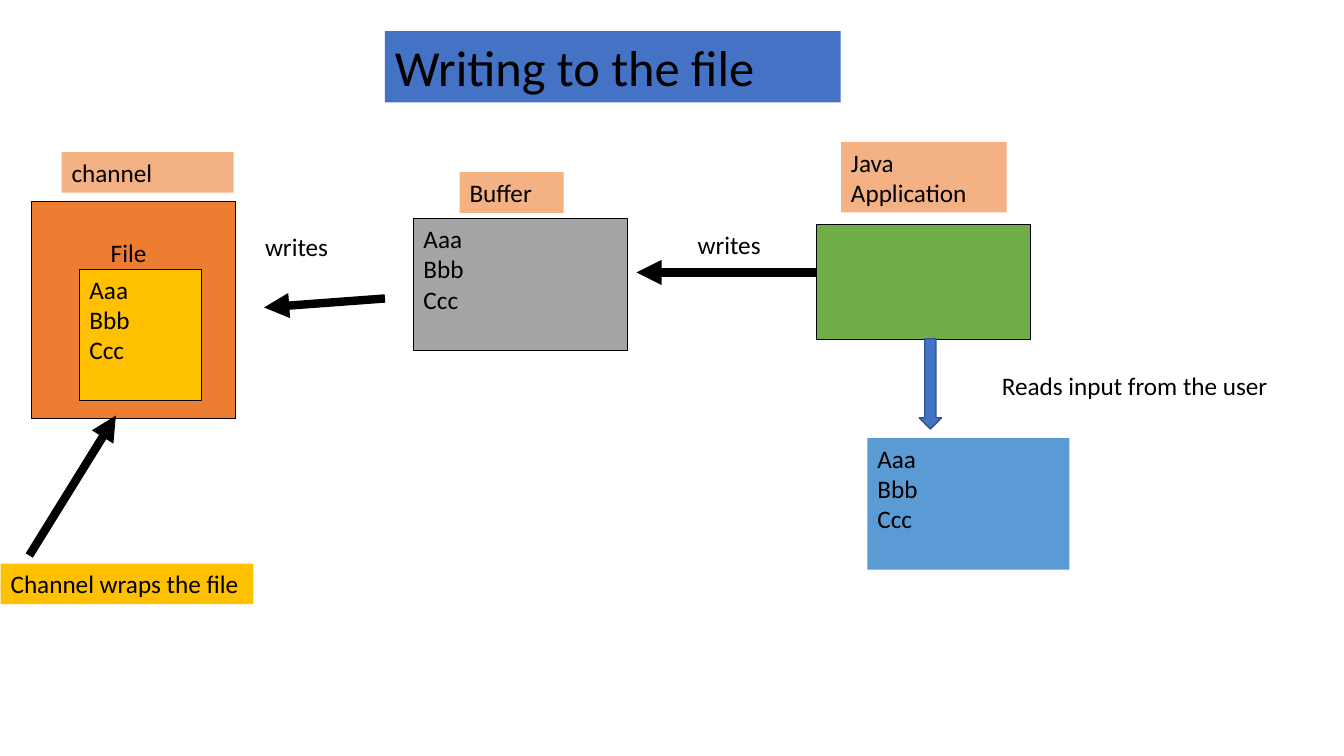
from lxml import etree
from pptx import Presentation
from pptx.dml.color import RGBColor
from pptx.enum.shapes import MSO_CONNECTOR, MSO_SHAPE
from pptx.enum.text import MSO_ANCHOR, PP_ALIGN
from pptx.oxml.ns import qn
from pptx.util import Pt

RECT, DOWN_ARROW = MSO_SHAPE.RECTANGLE, MSO_SHAPE.DOWN_ARROW
STRAIGHT = MSO_CONNECTOR.STRAIGHT
TOP, LEFT = MSO_ANCHOR.TOP, PP_ALIGN.LEFT

THEME = {
    "font": "Calibri", "body": 18, "title": 36,
    "black": "000000", "orange": "ED7D31", "peach": "F4B183",
    "gray": "A5A5A5", "green": "70AD47", "gold": "FFC000",
    "blue": "4472C4", "sky": "5B9BD5", "navy": "2F528F",
    "border": 0.75, "arrow": 6,
}

# Content: positions are left, top, width, height in points
LINE_H = 29      # height of a one-line label
DATA_H = 94      # height of a box holding the data
DATA = "Aaa\nBbb\nCcc"

# text, position, fill, has border
BOXES = [
    ("Writing to the file", (275, 22.3, 325.5, 50.8), "blue", False),
    ("", (22.3, 144, 146, 155), "orange", True),
    ("channel", (44, 108.6, 123, LINE_H), "peach", False),
    (DATA, (56.8, 192.4, 87.2, DATA_H), "gold", True),
    (DATA, (295.4, 156.1, 152.8, DATA_H), "gray", True),
    ("Buffer", (328.3, 123, 74.3, LINE_H), "peach", False),
    ("", (583.5, 160.5, 152.8, 81.8), "green", True),
    ("Java Application", (600.8, 101.4, 118.2, 50.4), "peach", False),
    (DATA, (619.6, 313, 144.2, DATA_H), "sky", False),
    ("Channel wraps the file", (0.5, 402.6, 180.5, LINE_H), "gold", False),
]

# text, left, top, width
NOTES = [
    ("File", 72, 165.8, 58.3),
    ("writes", 182.2, 161.8, 61.2),
    ("writes", 491.2, 160.4, 77.8),
    ("Reads input from the user", 708.5, 261, 209),
]

# start x, start y, end x, end y
ARROWS = [
    (275, 213.2, 188.6, 219.6),
    (583.5, 194.6, 454.6, 194.6),
    (20.9, 396.8, 82.8, 296.8),
]
INPUT_ARROW = (656.6, 242, 16, 64.4)


def rgb(name):
    return RGBColor.from_string(THEME[name])


def write(sp, text, size):
    tf = sp.text_frame
    tf.text = text
    tf.word_wrap = True
    tf.vertical_anchor = TOP
    for p in tf.paragraphs:
        p.alignment = LEFT
        for r in p.runs:
            r.font.name = THEME["font"]
            r.font.size = Pt(size)
            r.font.color.rgb = rgb("black")


def add_box(s, kind, at, fill, line=None, width=0):
    sp = s.shapes.add_shape(kind, *map(Pt, at))
    sp.shadow.inherit = False
    sp.fill.solid()
    sp.fill.fore_color.rgb = rgb(fill)
    if line:
        sp.line.color.rgb = rgb(line)
        sp.line.width = Pt(width)
    else:
        sp.line.fill.background()
    return sp


def add_arrow(s, ends):
    cx = s.shapes.add_connector(STRAIGHT, *map(Pt, ends))
    cx.line.color.rgb = rgb("black")
    cx.line.width = Pt(THEME["arrow"])
    etree.SubElement(cx.line._get_or_add_ln(), qn("a:tailEnd"), type="triangle")
    etree.SubElement(cx._element.spPr, qn("a:effectLst"))


def main():
    prs = Presentation()
    prs.slide_width, prs.slide_height = Pt(960), Pt(540)
    s = prs.slides.add_slide(prs.slide_layouts[6])

    # Title, stages and their labels
    for i, (text, at, fill, border) in enumerate(BOXES):
        line = "black" if border else None
        sp = add_box(s, RECT, at, fill, line, THEME["border"])
        if text:
            write(sp, text, THEME["body" if i else "title"])

    # Notes beside the flow
    for text, x, y, w in NOTES:
        write(s.shapes.add_textbox(Pt(x), Pt(y), Pt(w), Pt(LINE_H)), text, THEME["body"])

    # Arrows
    for ends in ARROWS:
        add_arrow(s, ends)
    add_box(s, DOWN_ARROW, INPUT_ARROW, "blue", "navy", 1)

    prs.save("out.pptx")


if __name__ == "__main__":
    main()
